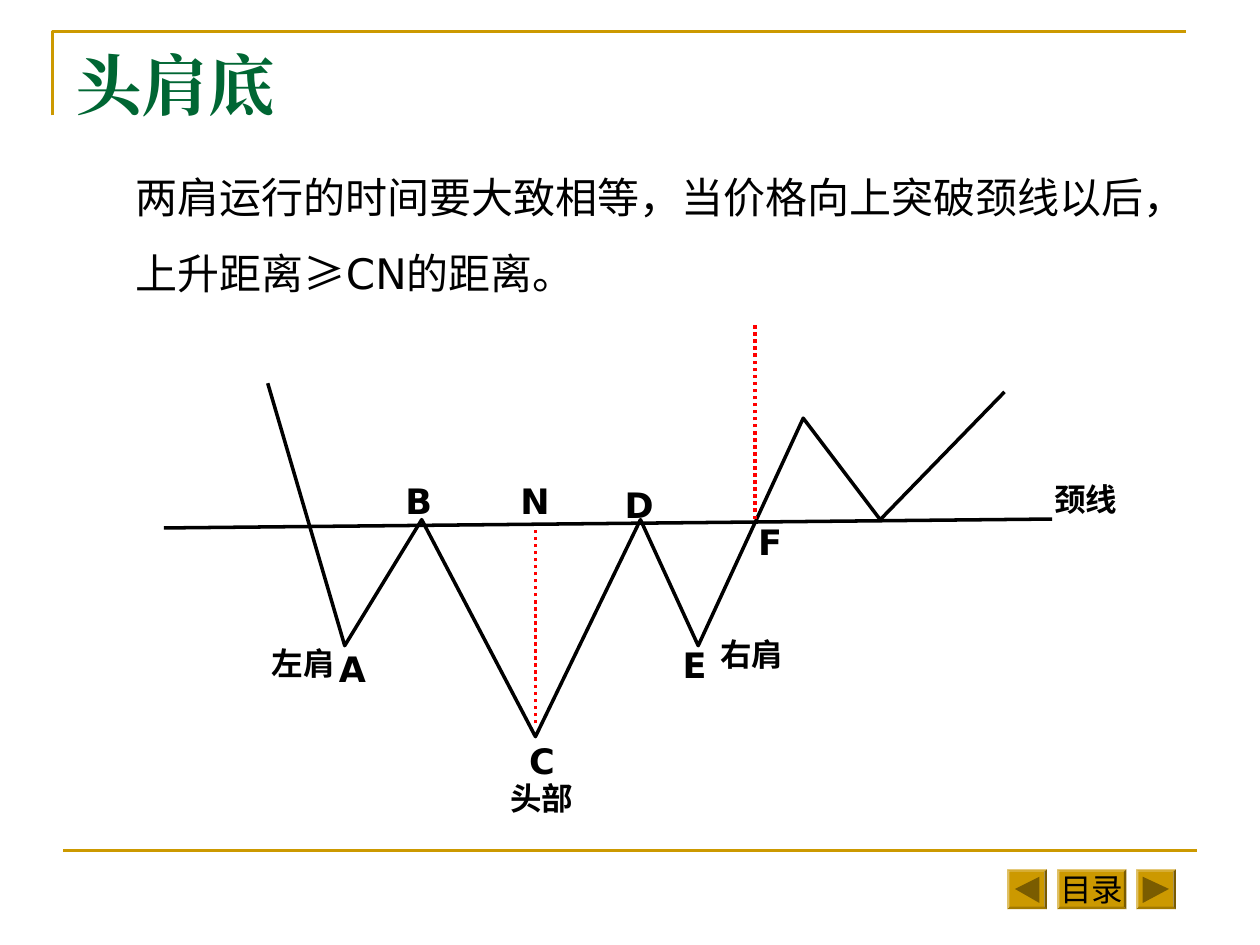
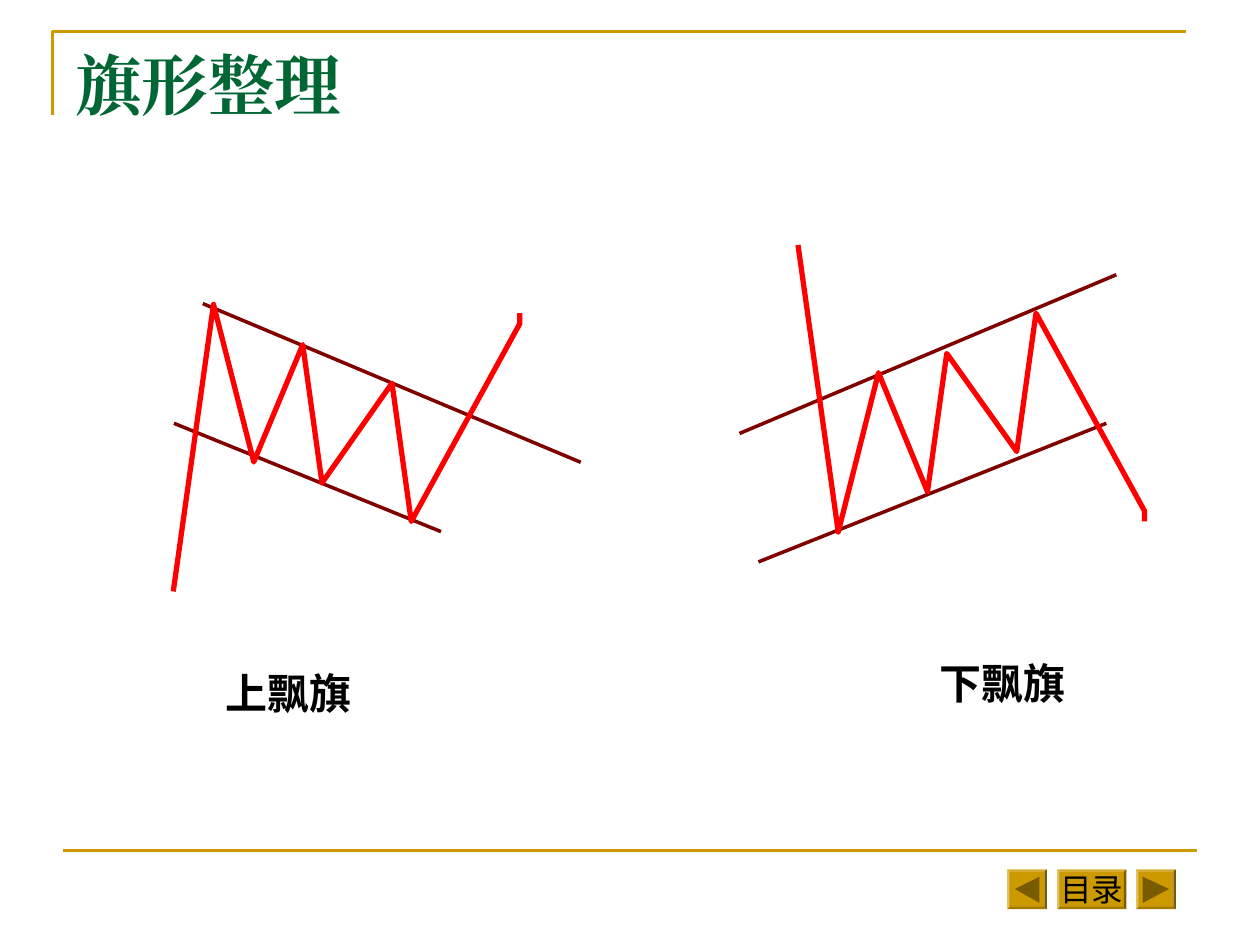
import pptx
import pptx.dml.color
import pptx.enum.dml
import pptx.enum.shapes
import pptx.enum.text
import pptx.oxml.ns
import pptx.util
from lxml import etree

Pt = pptx.util.Pt
SHAPE = pptx.enum.shapes.MSO_SHAPE
ANCHOR = pptx.enum.text.MSO_ANCHOR
ALIGN = pptx.enum.text.PP_ALIGN

GOLD, DARK_GOLD, GREEN = "CC9900", "7A5C00", "006633"
BLACK, RED, MAROON = "000000", "FF0000", "800000"
SANS, CJK, SERIF, BUTTON_FONT = "DejaVu Sans", "Noto Sans CJK SC", "Times New Roman", "Arial"

# Shared frame
CORNER = [(30.2, 66.2), (30.2, 18), (678.2, 18)]
FOOTER_LINE = ((36, 486), (684, 486))
BUTTON_TOP, BUTTON_HEIGHT = 496.8, 22.7
BUTTONS = [(575.5, 22.7, "previous"), (604, 39.6, "目录"), (649.2, 22.7, "next")]
ARROW_INSET = 4

# Slide 1: head and shoulders bottom
HEAD_TITLE = "头肩底"
HEAD_TEXT = [
    [("两肩运行的时间要大致相等，当价格向上突破颈线以后，", SANS)],
    [("上升距离", SANS), ("≥", CJK), ("CN的距离。", SANS)],
]
HEAD_PRICE = [(153.4, 218.9), (197.3, 369.4), (241.2, 296.6), (306, 421.2), (366.5, 296.6),
              (398.9, 369.4), (459.4, 239), (502.6, 296.6), (573.8, 223.9)]
NECKLINE = ((93.6, 301.7), (601.2, 296.6))
MEASURES = [((306, 413.3), (306, 301.7)), ((431.3, 296.6), (431.3, 185))]
PART_NAMES = [("左肩", 148.3, 364.3), ("右肩", 404.6, 359.3), ("颈线", 595.4, 270.7),
              ("头部", 284.4, 441.4)]
POINT_NAMES = [("A", 186.5, 366.5), ("B", 224.6, 270.7), ("C", 295.2, 419), ("D", 349.9, 272.9),
               ("E", 383, 364.3), ("F", 426.2, 293.8), ("N", 290.2, 270.7)]

# Slide 2: flags; the falling price mirrors the rising one
FLAG_TITLE = "旗形整理"
RISING_PRICE = [(99.4, 337.7), (121.7, 173.5), (144.7, 264.2), (172.8, 196.6), (184.3, 275.8),
                (223.9, 218.9), (235.4, 298.1), (297.4, 185), (297.4, 179.3)]
MIRROR_SHIFT, MIRROR_SUM = 357.1, 477.4
CHANNELS = [((115.9, 173.5), (331.9, 264.2)), ((99.4, 241.9), (252, 303.8)),
            ((637.9, 157), (422.6, 247.7)), ((632.2, 241.9), (433.4, 321.1))]
FLAG_NAMES = [("上飘旗", 121.7, 378), ("下飘旗", 529.9, 372.2)]


def rgb(code):
    return pptx.dml.color.RGBColor.from_string(code)


def add_line(s, ends, color, width, dotted=False):
    (x1, y1), (x2, y2) = ends
    line = s.shapes.add_connector(pptx.enum.shapes.MSO_CONNECTOR.STRAIGHT,
                                  Pt(x1), Pt(y1), Pt(x2), Pt(y2))
    line.line.color.rgb = rgb(color)
    line.line.width = Pt(width)
    if dotted:
        line.line.dash_style = pptx.enum.dml.MSO_LINE.ROUND_DOT
    etree.SubElement(line._element.spPr, pptx.oxml.ns.qn("a:effectLst"))


def add_path(s, points, color, width=None):
    """Draw an open outline of the given width, or a filled polygon without one."""
    builder = s.shapes.build_freeform(*points[0], scale=Pt(1))
    builder.add_line_segments(points[1:], close=width is None)
    sp = builder.convert_to_shape()
    sp.shadow.inherit = False
    if width is None:
        sp.fill.solid()
        sp.fill.fore_color.rgb = rgb(color)
        sp.line.fill.background()
    else:
        sp.fill.background()
        sp.line.color.rgb = rgb(color)
        sp.line.width = Pt(width)


def add_run(p, text, font, size, color=BLACK, bold=False):
    r = p.add_run()
    r.text = text
    r.font.name = font
    r.font.size = Pt(size)
    r.font.bold = bold
    r.font.color.rgb = rgb(color)
    r.font.language_id = pptx.enum.lang.MSO_LANGUAGE_ID.SIMPLIFIED_CHINESE
    east_asian = etree.SubElement(r.font._element, pptx.oxml.ns.qn("a:ea"))
    east_asian.set("typeface", font)


def add_text_frame(s, left, top, width, height):
    tf = s.shapes.add_textbox(Pt(left), Pt(top), Pt(width), Pt(height)).text_frame
    tf.word_wrap = True
    return tf


def add_label(s, text, left, top, width, size):
    tf = add_text_frame(s, left, top, width, 1.2 * size + 7.2)
    add_run(tf.paragraphs[0], text, SANS, size, bold=True)


def add_button(s, left, width, label):
    sp = s.shapes.add_shape(SHAPE.BEVEL, Pt(left), Pt(BUTTON_TOP), Pt(width), Pt(BUTTON_HEIGHT))
    sp.adjustments[0] = 0.06
    sp.shadow.inherit = False
    sp.fill.solid()
    sp.fill.fore_color.rgb = rgb(GOLD)
    sp.line.fill.background()
    if label in ("previous", "next"):
        near, far = left + ARROW_INSET, left + width - ARROW_INSET
        tip, base = (near, far) if label == "previous" else (far, near)
        middle = BUTTON_TOP + BUTTON_HEIGHT / 2
        half = BUTTON_HEIGHT / 2 - ARROW_INSET
        add_path(s, [(tip, middle), (base, middle - half), (base, middle + half)], DARK_GOLD)
        return
    tf = sp.text_frame
    tf.word_wrap = False
    tf.vertical_anchor = ANCHOR.MIDDLE
    p = tf.paragraphs[0]
    p.alignment = ALIGN.CENTER
    add_run(p, label, BUTTON_FONT, 18)


def add_framed_slide(prs, title):
    s = prs.slides.add_slide(prs.slide_layouts[6])
    add_path(s, CORNER, GOLD, 1.5)
    add_line(s, FOOTER_LINE, GOLD, 1.5)
    for button in BUTTONS:
        add_button(s, *button)
    tf = add_text_frame(s, 36, 21.6, 648, 49.7)
    add_run(tf.paragraphs[0], title, SERIF, 38, GREEN, bold=True)
    return s


def build_head_slide(prs):
    s = add_framed_slide(prs, HEAD_TITLE)
    tf = add_text_frame(s, 70.6, 94.3, 629.3, 79.9)
    for i, runs in enumerate(HEAD_TEXT):
        p = tf.add_paragraph() if i else tf.paragraphs[0]
        if i:
            p.space_before = Pt(15)
        for text, font in runs:
            add_run(p, text, font, 24)
    add_path(s, HEAD_PRICE, BLACK, 2)
    add_line(s, NECKLINE, BLACK, 2)
    for ends in MEASURES:
        add_line(s, ends, RED, 2, dotted=True)
    for name, left, top in PART_NAMES:
        add_label(s, name, left, top, 65.5, 18)
    for name, left, top in POINT_NAMES:
        add_label(s, name, left, top, 32.4, 20)


def build_flag_slide(prs):
    s = add_framed_slide(prs, FLAG_TITLE)
    for name, left, top in FLAG_NAMES:
        add_label(s, name, left, top, 108, 24)
    for ends in CHANNELS:
        add_line(s, ends, MAROON, 2)
    falling_price = [(x + MIRROR_SHIFT, MIRROR_SUM - y) for x, y in RISING_PRICE]
    for price in (RISING_PRICE, falling_price):
        add_path(s, price, RED, 3)


def main():
    prs = pptx.Presentation()
    prs.slide_width, prs.slide_height = Pt(720), Pt(540)
    build_head_slide(prs)
    build_flag_slide(prs)
    prs.save("out.pptx")


if __name__ == "__main__":
    import pptx.enum.lang
    main()
